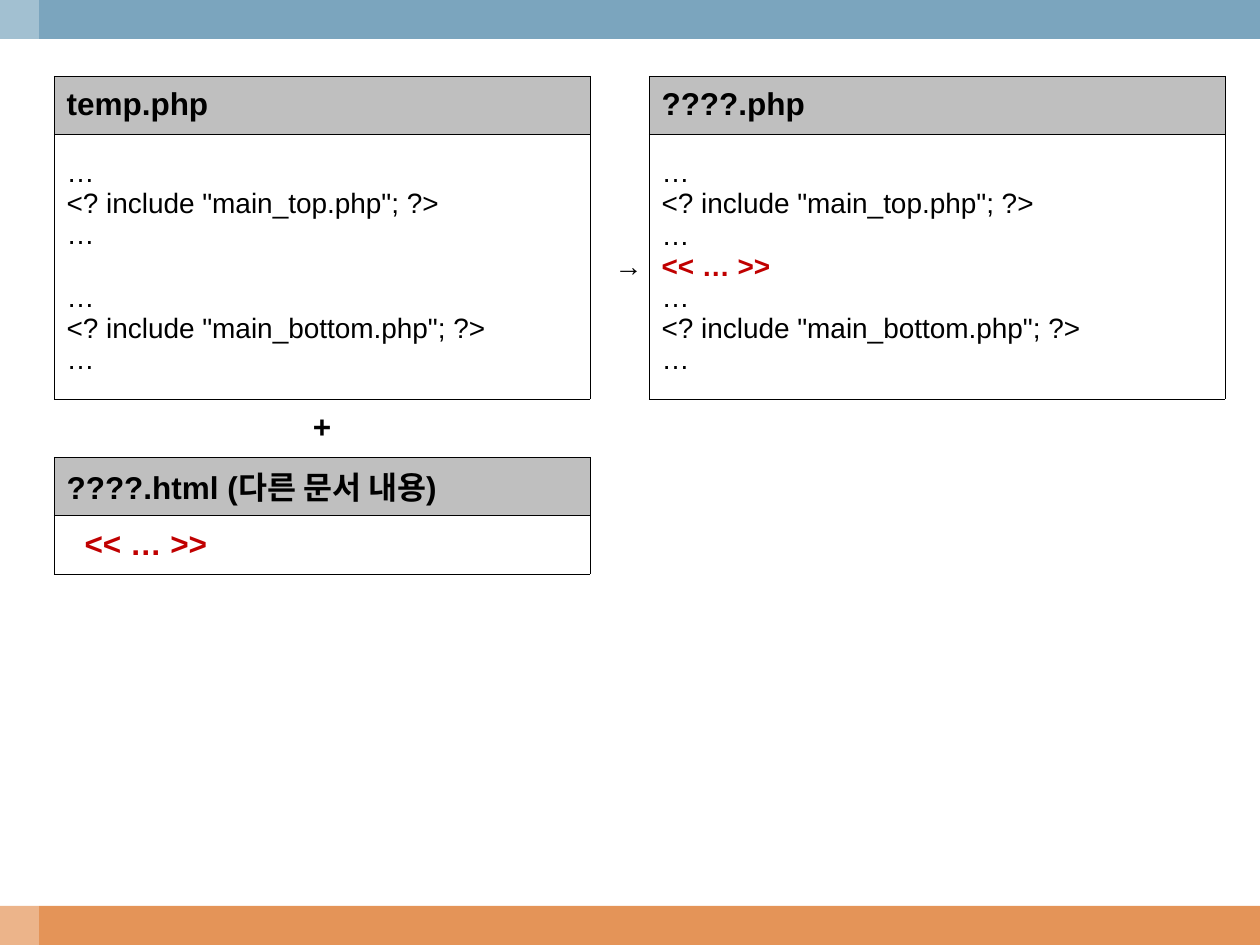
from lxml import etree
from pptx import Presentation
from pptx import util as u
from pptx.dml.color import RGBColor
from pptx.enum import shapes, text
from pptx.oxml import ns

PX = 914400 / 126
WIDTH, HEIGHT, BAR = 1260, 945, 39
BLACK, WHITE, GRAY, RED = "000000", "FFFFFF", "BFBFBF", "C00000"
BLUE, ORANGE = "7BA5BE", "E49458"
NO_STYLE = "{2D5ABB26-0587-4C30-8999-92F81FD0307C}"
ALIGN = text.PP_ALIGN


def px(length):
    return u.Emu(round(length * PX))


def color(value):
    return RGBColor.from_string(value)


def write(paragraph, content, size=18, bold=False, fill=BLACK,
          align=ALIGN.LEFT, indent=0, before=0):
    paragraph.alignment = align
    if before:
        paragraph.space_before = u.Pt(before)
    if indent:
        paragraph._p.get_or_add_pPr().set("marL", str(px(indent)))
    run = paragraph.add_run()
    run.text = content
    run.font.name = "Arial"
    run.font.size = u.Pt(size)
    run.font.bold = bold
    run.font.color.rgb = color(fill)


class SlideBuilder:
    def __init__(self, slide):
        self.slide = slide

    def bar(self, left, top, width, height, fill, opacity=100):
        shape = self.slide.shapes.add_shape(
            shapes.MSO_SHAPE.RECTANGLE, px(left), px(top), px(width), px(height))
        shape.shadow.inherit = False
        shape.line.fill.background()
        shape.fill.solid()
        shape.fill.fore_color.rgb = color(fill)
        if opacity < 100:
            tone = shape._element.spPr.find(".//" + ns.qn("a:srgbClr"))
            etree.SubElement(tone, ns.qn("a:alpha"), val=str(opacity * 1000))

    def table(self, left, top, columns, rows):
        """Add a table with no style, so only boxed cells show."""
        frame = self.slide.shapes.add_table(
            len(rows), len(columns), px(left), px(top), px(sum(columns)), px(sum(rows)))
        table = frame.table
        table.first_row = table.horz_banding = False
        table._tbl.tblPr.find(ns.qn("a:tableStyleId")).text = NO_STYLE
        for column, width in zip(table.columns, columns):
            column.width = px(width)
        for row, height in zip(table.rows, rows):
            row.height = px(height)
            for cell in row.cells:
                cell.fill.background()
                cell.vertical_anchor = text.MSO_ANCHOR.MIDDLE
        return table

    def box(self, cell, fill):
        """Give a cell a solid fill and a hairline on all four sides."""
        properties = cell._tc.get_or_add_tcPr()
        for index, side in enumerate(("lnL", "lnR", "lnT", "lnB")):
            line = etree.Element(ns.qn("a:" + side), w=str(u.Pt(0.11)))
            solid = etree.SubElement(line, ns.qn("a:solidFill"))
            etree.SubElement(solid, ns.qn("a:srgbClr"), val=BLACK)
            properties.insert(index, line)
        cell.fill.solid()
        cell.fill.fore_color.rgb = color(fill)

    def label(self, cell, content, **style):
        write(cell.text_frame.paragraphs[0], content, **style)

    def header(self, cell, content):
        self.box(cell, GRAY)
        self.label(cell, content, bold=True, align=ALIGN.JUSTIFY)

    def code(self, cell, insert=None):
        """Write the page listing, with the inserted line or a gap of one line."""
        self.box(cell, WHITE)
        lines = [("…", {}), ('<? include "main_top.php"; ?>', {}), ("…", {})]
        if insert:
            lines.append((insert, {"fill": RED, "bold": True}))
        lines += [("…", {} if insert else {"before": 18}),
                  ('<? include "main_bottom.php"; ?>', {}), ("…", {})]
        frame = cell.text_frame
        for index, (content, style) in enumerate(lines):
            paragraph = frame.add_paragraph() if index else frame.paragraphs[0]
            write(paragraph, content, size=16, **style)


def main():
    presentation = Presentation()
    presentation.slide_width, presentation.slide_height = px(WIDTH), px(HEIGHT)
    slide = presentation.slides.add_slide(presentation.slide_layouts[6])
    builder = SlideBuilder(slide)

    builder.bar(0, HEIGHT - BAR, WIDTH, BAR, ORANGE)
    builder.bar(0, 0, WIDTH, BAR, BLUE)
    builder.bar(0, 0, BAR, HEIGHT, WHITE, opacity=30)

    insert = "<< … >>"
    table = builder.table(54, 76, [536, 59, 576], [58, 265, 58, 58, 59])
    builder.header(table.cell(0, 0), "temp.php")
    builder.header(table.cell(0, 2), "????.php")
    builder.code(table.cell(1, 0))
    builder.label(table.cell(1, 1), "→", size=16, bold=True, align=ALIGN.CENTER, indent=18)
    builder.code(table.cell(1, 2), insert)
    builder.label(table.cell(2, 0), "+", bold=True, align=ALIGN.CENTER)
    builder.header(table.cell(3, 0), "????.html (다른 문서 내용)")
    builder.box(table.cell(4, 0), WHITE)
    builder.label(table.cell(4, 0), insert, bold=True, fill=RED, indent=18)

    presentation.save("out.pptx")


if __name__ == "__main__":
    main()
